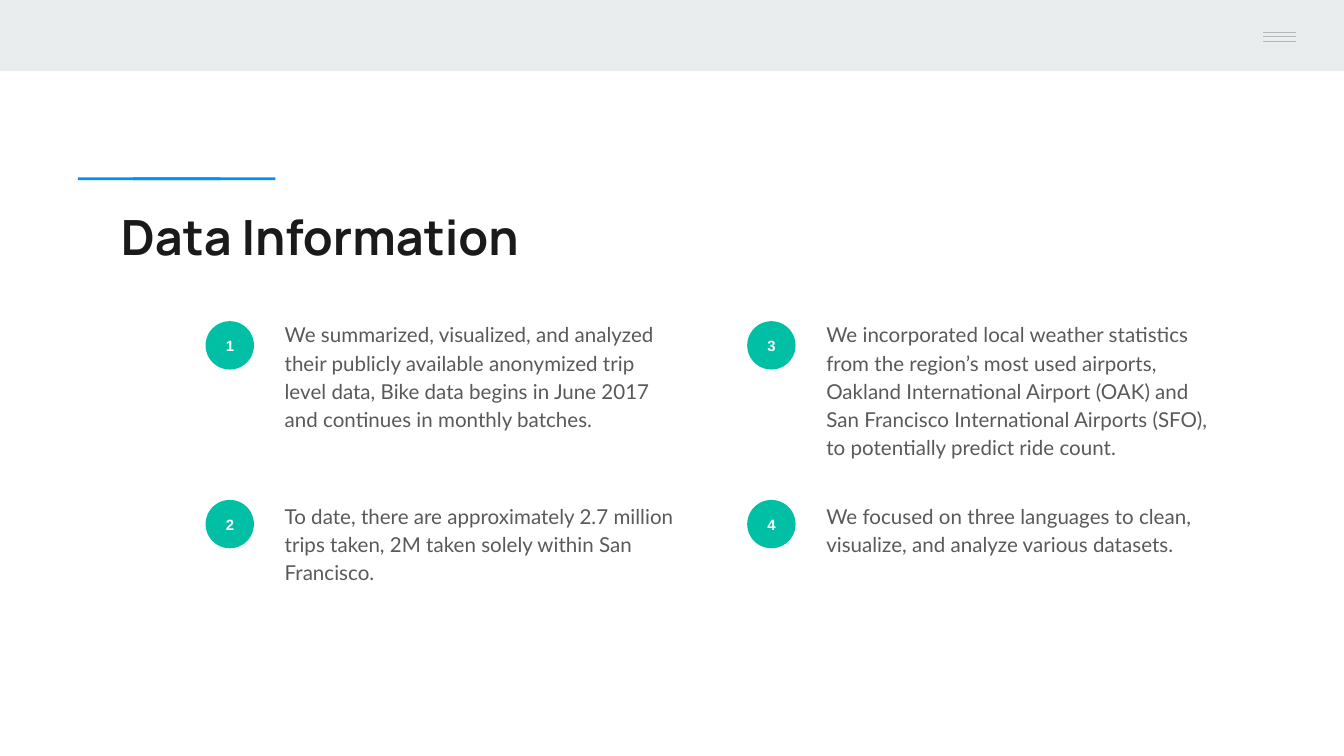
"""Build the Data Information slide with four numbered notes."""
from pptx import Presentation
from pptx.dml.color import RGBColor
from pptx.enum.shapes import MSO_CONNECTOR, MSO_SHAPE
from pptx.enum.text import MSO_ANCHOR, MSO_AUTO_SIZE, PP_ALIGN
from pptx.oxml.ns import qn
from pptx.util import Inches, Pt
from lxml import etree

RECTANGLE, OVAL = MSO_SHAPE.RECTANGLE, MSO_SHAPE.OVAL
STRAIGHT = MSO_CONNECTOR.STRAIGHT
TOP, MIDDLE = MSO_ANCHOR.TOP, MSO_ANCHOR.MIDDLE
LEFT, CENTER = PP_ALIGN.LEFT, PP_ALIGN.CENTER
NO_FIT = MSO_AUTO_SIZE.NONE

TITLE = "Data Information"
NOTES = [
    "We summarized, visualized, and analyzed their publicly available anonymized trip "
    "level data, Bike data begins in June 2017 and continues in monthly batches.",
    "To date, there are approximately 2.7 million trips taken, 2M taken solely within "
    "San Francisco.",
    "We incorporated local weather statistics from the region’s most used airports, "
    "Oakland International Airport (OAK) and San Francisco International Airports (SFO), "
    "to potentially predict ride count.",
    "We focused on three languages to clean, visualize, and analyze various datasets.",
]
THEME = {
    "band": "E9EDEE", "accent": "008FFF", "menu": "B7B7B7", "badge": "00BFA5",
    "title": {"font": "Manrope", "size": 26, "color": "1A1A1A", "bold": True},
    "number": {"font": "Arial", "size": 8, "color": "FFFFFF", "bold": True},
    "note": {"font": "Lato", "size": 11, "color": "595959"},
}
PAGE_WIDTH = 10
ASPECT = 16 / 9
ROWS = 2
COLUMN_STEP = 4.03
BADGE_LEFT, BADGE_TOP, BADGE_SIZE, BADGE_STEP = 1.53, 2.39, 0.36, 1.33
NOTE_LEFT, NOTE_TOP, NOTE_STEP = 2.02, 2.27, 1.35
ACCENT_LEFTS = [0.99, 0.58]
MENU_LINES = [0.24, 0.27, 0.31]


def write(box, text, font, size, color, bold=False, align=LEFT, anchor=TOP, spacing=1.0):
    frame = box.text_frame
    frame.word_wrap = True
    frame.auto_size = NO_FIT
    frame.vertical_anchor = anchor
    frame.margin_left = frame.margin_right = Inches(0.1)
    frame.margin_top = frame.margin_bottom = Inches(0.1)
    para = frame.paragraphs[0]
    para.alignment = align
    para.line_spacing = spacing
    para.space_before = Pt(0)
    span = para.add_run()
    span.text = text
    span.font.name = font
    span.font.size = Pt(size)
    span.font.bold = bold
    span.font.color.rgb = RGBColor.from_string(color)


def add_filled(page, kind, left, top, width, height, color):
    shape = page.shapes.add_shape(kind, *map(Inches, (left, top, width, height)))
    shape.shadow.inherit = False
    shape.fill.solid()
    shape.fill.fore_color.rgb = RGBColor.from_string(color)
    shape.line.fill.background()
    return shape


def add_menu(page):
    for y in MENU_LINES:
        line = page.shapes.add_connector(STRAIGHT, *map(Inches, (9.4, y, 9.64, y)))
        line.line.color.rgb = RGBColor.from_string(THEME["menu"])
        line.line.width = Pt(0.75)
        etree.SubElement(line._element.spPr, qn("a:effectLst"))


def add_title(page):
    title = page.shapes.title
    title.left, title.top, title.width, title.height = map(Inches, (0.8, 1.44, 8.41, 0.59))
    write(title, TITLE, **THEME["title"])


def add_note(page, index, text):
    column, row = divmod(index, ROWS)
    shift = column * COLUMN_STEP
    badge = add_filled(page, OVAL, BADGE_LEFT + shift, BADGE_TOP + row * BADGE_STEP,
                       BADGE_SIZE, BADGE_SIZE, THEME["badge"])
    write(badge, str(index + 1), align=CENTER, anchor=MIDDLE, **THEME["number"])
    place = (NOTE_LEFT + shift, NOTE_TOP + row * NOTE_STEP, 3.1, 1.15)
    box = page.shapes.add_textbox(*map(Inches, place))
    write(box, text, spacing=1.15, **THEME["note"])


def main():
    deck = Presentation()
    deck.slide_width, deck.slide_height = Inches(PAGE_WIDTH), Inches(PAGE_WIDTH / ASPECT)
    page = deck.slides.add_slide(deck.slide_layouts[5])
    add_filled(page, RECTANGLE, 0, 0, PAGE_WIDTH, 0.53, THEME["band"])
    for left in ACCENT_LEFTS:
        add_filled(page, RECTANGLE, left, 1.32, 1.06, 0.02, THEME["accent"])
    add_menu(page)
    add_title(page)
    for index, text in enumerate(NOTES):
        add_note(page, index, text)
    deck.save("out.pptx")


if __name__ == "__main__":
    main()
